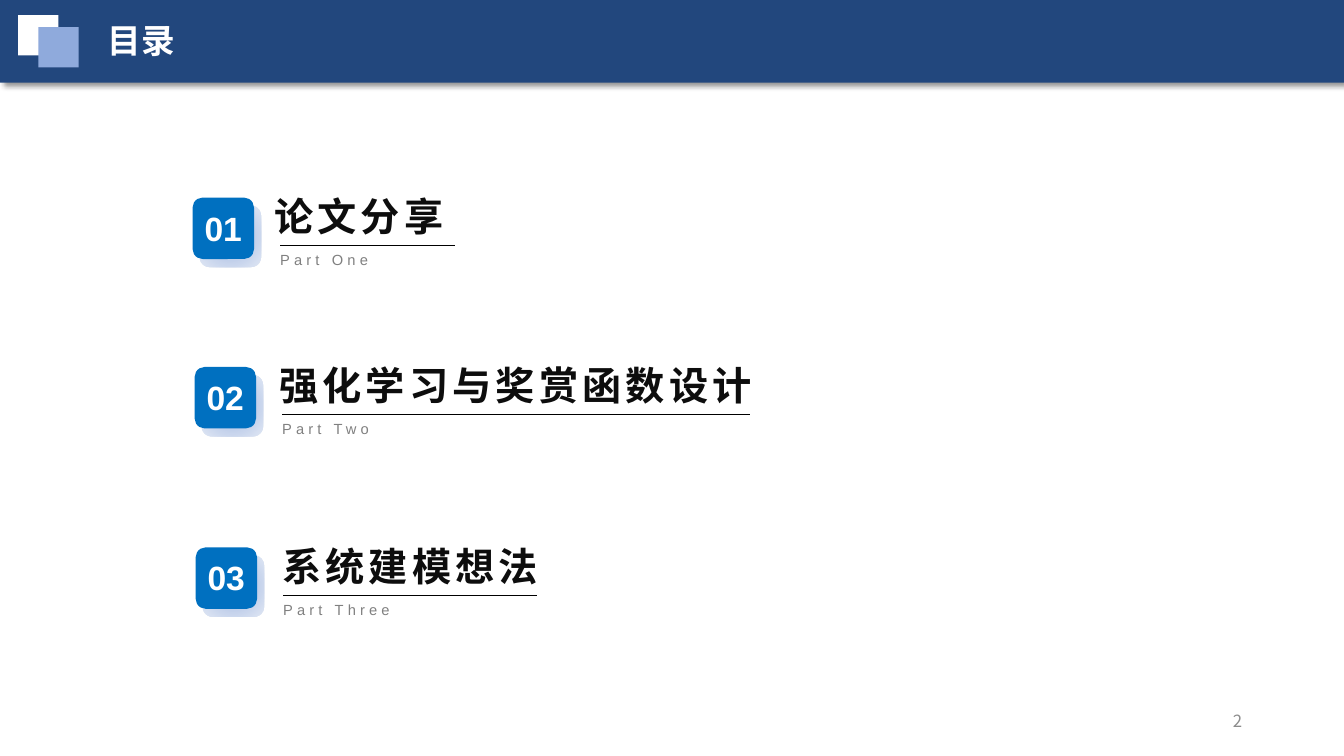
import pptx
import pptx.dml.color
import pptx.enum.shapes
import pptx.enum.text
import pptx.oxml
import pptx.oxml.ns
import pptx.util
from dataclasses import dataclass

Inches = pptx.util.Inches
Pt = pptx.util.Pt
Shape = pptx.enum.shapes.MSO_SHAPE
Align = pptx.enum.text.PP_ALIGN
Anchor = pptx.enum.text.MSO_ANCHOR
NS = pptx.oxml.ns.nsdecls("a")


@dataclass(frozen=True)
class Theme:
    band: str = "22477D"
    white: str = "FFFFFF"
    pale: str = "8FAADC"
    tile: str = "0070C0"
    glow: tuple = ((0, "94B1E1"), (50, "BFCEEA"), (100, "E0E7F4"))
    ink: tuple = ("0D0D0D", "595959")
    line: str = "000000"
    muted: str = "808080"
    page: str = "8C8C8C"
    latin: str = "Arial"
    han: str = "Noto Sans CJK SC"
    big: float = 28
    mid: float = 24
    small: float = 12
    tiny: float = 10.5


THEME = Theme()


def rgb(code):
    return pptx.dml.color.RGBColor.from_string(code)


def put(item, values):
    """Set each named value on the item."""
    for name, value in values.items():
        setattr(item, name, value)


def place(box):
    return [Inches(n) for n in box]


def write(shape, text, size, color, font, bold=False, space=0,
          align=Align.LEFT, anchor=Anchor.TOP, wrap=True):
    """Fill a text shape; a pair of colours makes a downward gradient."""
    frame = shape.text_frame
    put(frame, {"word_wrap": wrap, "vertical_anchor": anchor,
                "auto_size": pptx.enum.text.MSO_AUTO_SIZE.NONE})
    para = frame.paragraphs[0]
    para.alignment = align
    run = para.add_run()
    run.text = text
    put(run.font, {"size": Pt(size), "bold": bold, "name": font})
    if isinstance(color, tuple):
        run.font.fill.gradient()
        run.font.fill.gradient_angle = 270
        for stop, code in zip(run.font.fill.gradient_stops, color):
            stop.color.rgb = rgb(code)
    else:
        run.font.color.rgb = rgb(color)
    props = run.font._element
    props.append(pptx.oxml.parse_xml(f'<a:ea {NS} typeface="{THEME.han}"/>'))
    if space:
        props.set("spc", str(space * 100))


def label(shapes, box, text, *style, **more):
    write(shapes.add_textbox(*place(box)), text, *style, **more)


def block(shapes, kind, box, color):
    shape = shapes.add_shape(kind, *place(box))
    shape.shadow.inherit = False
    shape.fill.solid()
    shape.fill.fore_color.rgb = rgb(color)
    shape.line.fill.background()
    if kind == Shape.ROUNDED_RECTANGLE:
        shape.adjustments[0] = 0.164
    return shape


def shade(shape):
    """Drop a soft shadow to the lower right."""
    effects = shape._element.spPr.find(pptx.oxml.ns.qn("a:effectLst"))
    effects.append(pptx.oxml.parse_xml(
        f'<a:outerShdw {NS} blurRad="{Pt(4)}" dist="{Pt(3)}" dir="2700000" '
        'algn="tl" rotWithShape="0"><a:srgbClr val="000000">'
        '<a:alpha val="40000"/></a:srgbClr></a:outerShdw>'))


def radiate(shape, stops):
    """Swap the plain fill for a gradient running out from the centre."""
    marks = "".join(f'<a:gs pos="{at * 1000}"><a:srgbClr val="{code}"/></a:gs>'
                    for at, code in stops)
    props = shape._element.spPr
    props.replace(props.find(pptx.oxml.ns.qn("a:solidFill")), pptx.oxml.parse_xml(
        f'<a:gradFill {NS} rotWithShape="1"><a:gsLst>{marks}</a:gsLst>'
        '<a:path path="circle"><a:fillToRect l="50000" t="50000" r="50000" '
        'b="50000"/></a:path></a:gradFill>'))


def header(slide, box, text):
    left, top, width, height = box
    shapes = slide.shapes
    shade(block(shapes, Shape.RECTANGLE, box, THEME.band))
    for x, y, color in ((0.18, 0.15, THEME.white), (0.38, 0.27, THEME.pale)):
        block(shapes, Shape.RECTANGLE, (left + x, top + y, 0.4, 0.4), color)
    title = shapes.title
    spot = place((left + 0.97, top + 0.15, 4.39, 0.5))
    put(title, dict(zip(("left", "top", "width", "height"), spot)))
    write(title, text, THEME.mid, THEME.white, THEME.han, bold=True)
    title.element.getparent().append(title.element)  # bring above the band


def entry(slide, box, number, text, note, shift, rule):
    """Numbered tile with a heading, a rule of the given length and a note."""
    left, top, width, side = box
    shapes = slide.shapes.add_group_shape().shapes
    label(shapes, (left + 0.77, top + 0.48, 3.08, 0.28), note,
          THEME.tiny, THEME.muted, THEME.latin, space=3)
    start, level = left + 0.87, top + 0.47
    line = shapes.add_connector(pptx.enum.shapes.MSO_CONNECTOR.STRAIGHT,
                                *place((start, level, start + rule, level)))
    line.line.width = Pt(0.25)
    line.line.color.rgb = rgb(THEME.line)
    line._element.spPr.append(pptx.oxml.parse_xml(f"<a:effectLst {NS}/>"))
    kind = Shape.ROUNDED_RECTANGLE
    back = block(shapes, kind, (left + 0.07, top + 0.08, side, side), THEME.pale)
    radiate(back, THEME.glow)
    block(shapes, kind, (left, top, side, side), THEME.tile)
    label(shapes, (left + 0.02, top + 0.05, 0.58, 0.5), number,
          THEME.mid, THEME.white, THEME.latin, bold=True, wrap=False)
    label(shapes, (left + shift, top - 0.1, width - shift, 0.57), text,
          THEME.big, THEME.ink, THEME.latin, bold=True, space=3)


def main():
    deck = pptx.Presentation()
    put(deck, {"slide_width": Inches(13.33), "slide_height": Inches(7.5)})
    slide = deck.slides.add_slide(deck.slide_layouts[5])
    header(slide, (0, 0, 13.33, 0.82), "目录")
    label(slide.shapes, (9.42, 6.95, 3, 0.4), "2", THEME.small, THEME.page,
          THEME.han, align=Align.RIGHT, anchor=Anchor.MIDDLE)
    entries = (
        (1.91, 1.96, 3.73, "论文分享", "Part One", 0.71, 1.73),
        (1.93, 3.64, 5.9, "强化学习与奖赏函数设计", "Part Two", 0.74, 4.64),
        (1.94, 5.43, 3.78, "系统建模想法", "Part Three", 0.76, 2.52),
    )
    for count, (left, top, width, *rest) in enumerate(entries, 1):
        entry(slide, (left, top, width, 0.61), f"{count:02}", *rest)
    deck.save("out.pptx")


if __name__ == "__main__":
    main()
